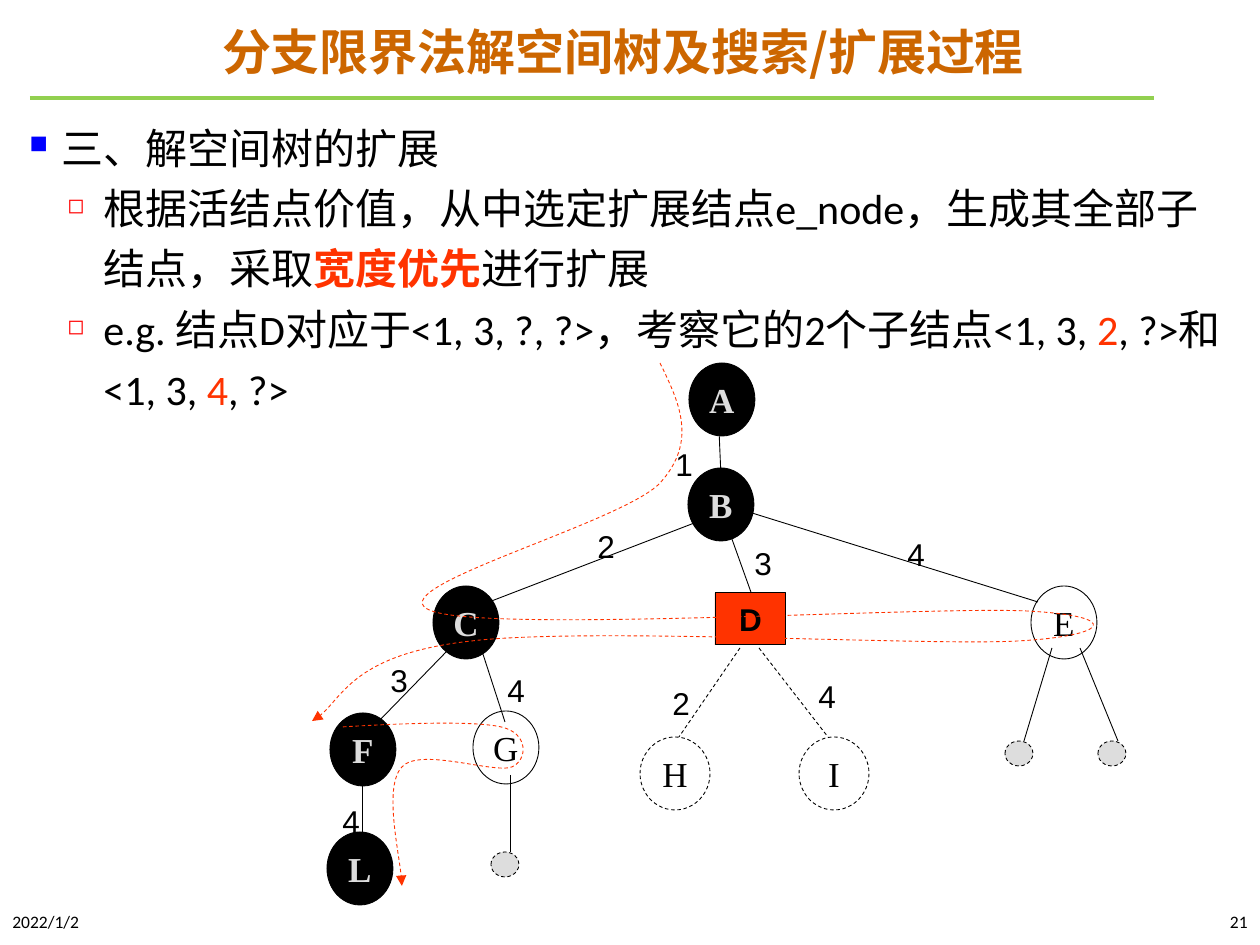
from lxml import etree
from pptx import Presentation
from pptx.dml.color import RGBColor
from pptx.enum.dml import MSO_LINE
from pptx.enum.shapes import MSO_CONNECTOR, MSO_SHAPE
from pptx.enum.text import MSO_ANCHOR, PP_ALIGN
from pptx.oxml.ns import qn
from pptx.util import Pt

PX = 914400 / 126
color = RGBColor.from_string


def write(shape, text, size, font, ink="000000", bold=False, align=PP_ALIGN.LEFT, anchor=MSO_ANCHOR.MIDDLE):
    shape.text_frame.vertical_anchor = anchor
    paragraph = shape.text_frame.paragraphs[0]
    paragraph.text = text
    paragraph.alignment = align
    paragraph.font.size = Pt(size)
    paragraph.font.name = font
    paragraph.font.bold = bold
    paragraph.font.color.rgb = color(ink)
    return paragraph


def stroke(line, ink, width=0.5, dashed=False):
    line.color.rgb = color(ink)
    line.width = Pt(width)
    if dashed:
        line.dash_style = MSO_LINE.DASH


deck = Presentation()
deck.slide_width, deck.slide_height = round(1260 * PX), round(945 * PX)
slide = deck.slides.add_slide(deck.slide_layouts[6])
shapes = slide.shapes

title = shapes.add_textbox(*[round(v * PX) for v in (80, 12, 1086, 86)])
title.text_frame.word_wrap = True
heading = write(title, "分支限界法解空间树及搜索/扩展过程", 28, "Noto Sans CJK SC", "CC6600", True, PP_ALIGN.CENTER)
heading.line_spacing = 0.9

body = shapes.add_textbox(*[round(v * PX) for v in (17, 106, 1226, 795)])
body.text_frame.word_wrap = True
outline = [
    (0, [("三、解空间树的扩展", False, False)]),
    (1, [
        ("根据活结点价值，从中选定扩展结点e_node，生成其全部子结点，采取", False, False),
        ("宽度优先", True, True),
        ("进行扩展", False, False),
    ]),
    (1, [
        ("e.g. 结点D对应于<1, 3, ?, ?>，考察它的2个子结点<1, 3, ", False, False),
        ("2", True, False),
        (", ?>和<1, 3, ", False, False),
        ("4", True, False),
        (", ?>", False, False),
    ]),
]
bullets = [("■", "0000FF", 60, 32, 32), ("◻", "FF0000", 50, 74, 36)]
for number, (level, parts) in enumerate(outline):
    item = body.text_frame.add_paragraph() if number else body.text_frame.paragraphs[0]
    item.level = level
    item.line_spacing = Pt(34.5)
    mark, mark_color, percent, margin, hanging = bullets[level]
    properties = item._p.get_or_add_pPr()
    properties.set("marL", str(round(margin * PX)))
    properties.set("indent", str(-round(hanging * PX)))
    tint = etree.SubElement(properties, qn("a:buClr"))
    etree.SubElement(tint, qn("a:srgbClr"), val=mark_color)
    etree.SubElement(properties, qn("a:buSzPct"), val=str(percent * 1000))
    etree.SubElement(properties, qn("a:buChar"), char=mark)
    item.font.size = Pt(24)
    item.font.name = "Calibri"
    for text, accent, bold in parts:
        run = item.add_run()
        run.text = text
        run.font.bold = bold
        run.font.color.rgb = color("FF3300" if accent else "000000")

for left, text, align in [(0, "2022/1/2", PP_ALIGN.LEFT), (976, "21", PP_ALIGN.RIGHT)]:
    footer = shapes.add_textbox(*[round(v * PX) for v in (left, 900, 284, 43)])
    footer.text_frame.word_wrap = True
    write(footer, text, 10, "Calibri", align=align)

edges = [
    (30, 98, 1154, 98, "92D050", 2.25, False),
    *[(*ends, "000000", 0.5, False) for ends in [
        (719, 430, 721, 476), (697, 522, 489, 602), (728, 528, 752, 595),
        (752, 513, 1038, 602), (450, 648, 378, 722), (481, 648, 505, 722),
        (362, 774, 362, 863), (510, 775, 510, 852),
        (1052, 648, 1024, 741), (1080, 648, 1118, 741),
    ]],
    *[(*ends, "000000", 0.5, True) for ends in [(740, 648, 679, 737), (759, 648, 828, 737)]],
]
for *ends, ink, width, dashed in edges:
    edge = shapes.add_connector(MSO_CONNECTOR.STRAIGHT, *[round(v * PX) for v in ends])
    stroke(edge.line, ink, width, dashed)
    etree.SubElement(edge._element.spPr, qn("a:effectLst"))

visited = (66, 73, "000000", "DDDDDD", False)
waiting = (66, 73, None, "000000", False)
candidate = (70, 73, None, "000000", True)
unexplored = (28, 25, "DDDDDD", "000000", True)
current = (71, 52, "FF3300", "000000", False)
nodes = [
    ("A", 689, 363, visited), ("B", 688, 468, visited), ("C", 433, 586, visited),
    ("F", 330, 713, visited), ("L", 327, 832, visited),
    ("E", 1031, 586, waiting), ("G", 473, 711, waiting),
    ("H", 640, 737, candidate), ("I", 799, 737, candidate),
    ("", 491, 852, unexplored), ("", 1005, 741, unexplored), ("", 1098, 741, unexplored),
    ("D", 715, 593, current),
]
for name, left, top, (width, height, fill, ink, dashed) in nodes:
    outline_kind = MSO_SHAPE.RECTANGLE if name == "D" else MSO_SHAPE.OVAL
    node = shapes.add_shape(outline_kind, *[round(v * PX) for v in (left, top, width, height)])
    node.shadow.inherit = False
    stroke(node.line, "000000", dashed=dashed)
    if fill:
        node.fill.solid()
        node.fill.fore_color.rgb = color(fill)
    else:
        node.fill.background()
    if name:
        frame = node.text_frame
        frame.margin_left = frame.margin_right = frame.margin_top = frame.margin_bottom = 0
        frame.word_wrap = False
        size, font = (18, "Arial") if name == "D" else (20, "Times New Roman")
        write(node, name, size, font, ink, fill in ("000000", "FF3300"), PP_ALIGN.CENTER)

choices = [
    ("1", 663, 439), ("2", 585, 521), ("3", 742, 538), ("4", 895, 529), ("3", 378, 655),
    ("4", 495, 665), ("4", 330, 796), ("2", 660, 678), ("4", 806, 671),
]
for choice, left, top in choices:
    label = shapes.add_textbox(*[round(v * PX) for v in (left, top, 43, 50)])
    label.text_frame.word_wrap = False
    write(label, choice, 18, "Arial", anchor=MSO_ANCHOR.TOP)

search_routes = [
    [
        (660, 363), (679, 402), (698, 441), (660, 483), (621, 524), (370, 590), (432, 611),
        (493, 633), (930, 606), (1027, 611), (1124, 616), (1110, 636), (1017, 641),
        (925, 646), (588, 627), (471, 641), (354, 654), (339, 707), (312, 721),
    ],
    [
        (343, 727), (408, 723), (474, 721), (501, 727), (529, 733), (528, 760), (512, 767),
        (494, 774), (420, 747), (402, 767), (384, 786), (402, 866), (402, 886),
    ],
]
for controls in search_routes:
    start, *bends = [(round(x * PX), round(y * PX)) for x, y in controls]
    builder = shapes.build_freeform(*start)
    builder.add_line_segments(bends, close=False)
    route = builder.convert_to_shape()
    segments = list(route._element.iter(qn("a:lnTo")))
    for first in range(0, len(segments), 3):
        curve = etree.Element(qn("a:cubicBezTo"))
        segments[first].addprevious(curve)
        for segment in segments[first:first + 3]:
            curve.append(segment[0])
            segment.getparent().remove(segment)
    route.shadow.inherit = False
    route.fill.background()
    stroke(route.line, "FF3300", dashed=True)
    etree.SubElement(route.line._get_or_add_ln(), qn("a:tailEnd"), type="triangle")

deck.save("out.pptx")
